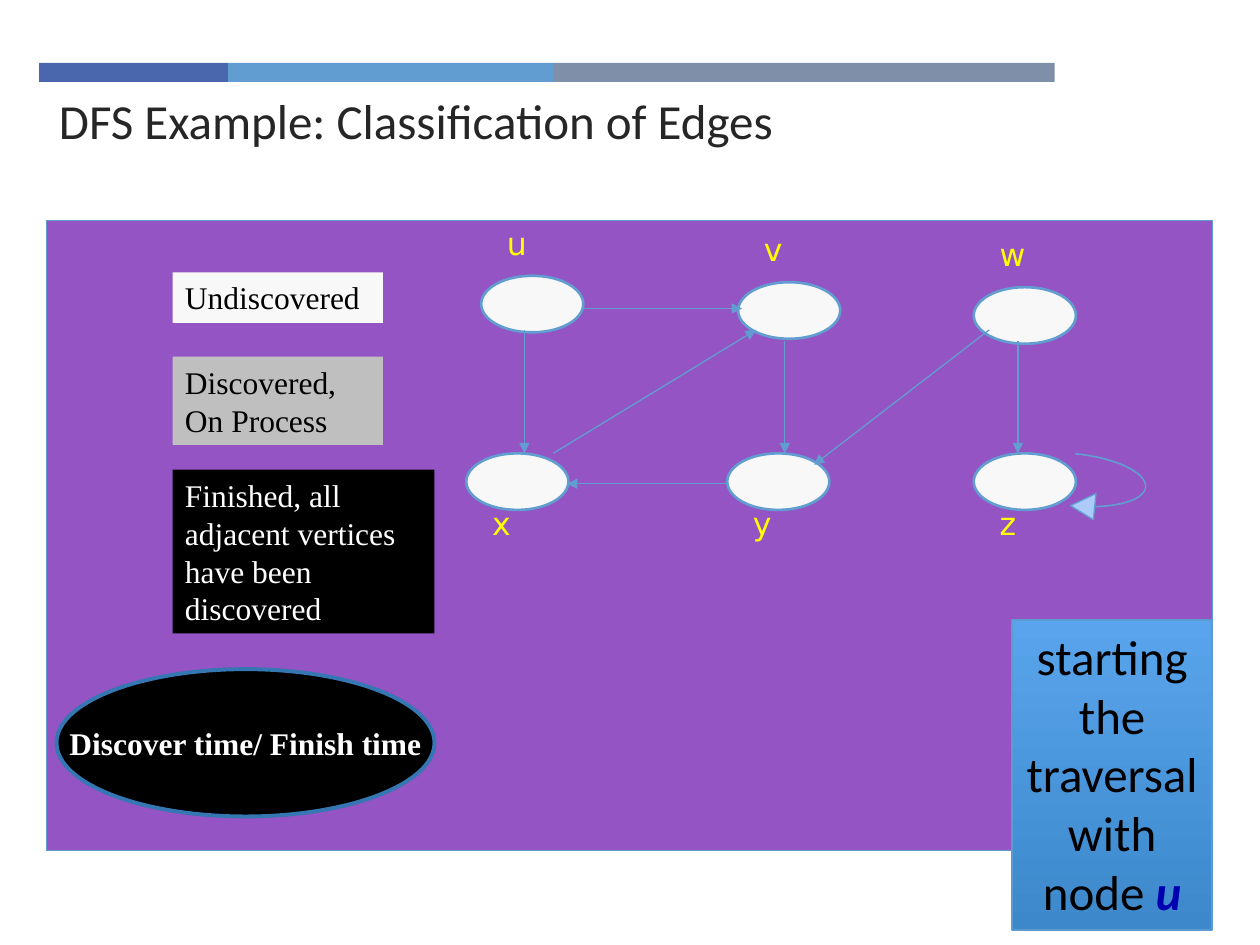
from dataclasses import dataclass

from lxml.etree import SubElement
from pptx import Presentation
from pptx.dml.color import RGBColor
from pptx.enum.shapes import MSO_CONNECTOR, MSO_SHAPE
from pptx.enum.text import MSO_ANCHOR, PP_ALIGN
from pptx.oxml.ns import qn
from pptx.util import Cm, Pt


@dataclass(frozen=True)
class Theme:
    band: tuple = ("4A66AC", "629DD1", "7F8FA9")
    panel: str = "9454C3"
    line: str = "629DD1"
    title: str = "262626"
    label: str = "FFFF00"
    light: str = "F8F8F8"
    grey: str = "BFBFBF"
    black: str = "000000"
    white: str = "FFFFFF"
    loop: str = "ACCBF9"
    time_line: str = "3477B2"
    callout: tuple = ("3C88CB", "59A4EC")
    callout_line: str = "5D9ACF"
    start_node: str = "0000B0"
    heading_font: str = "Calibri"
    legend_font: str = "Times New Roman"
    label_font: str = "DejaVu Sans"
    large: int = 28
    small: int = 18


THEME = Theme()

NODE_WIDTH, NODE_HEIGHT = 2.06, 1.14
LABEL_ABOVE, LABEL_BELOW = -1.17, 0.89
NODES = [
    ("u", 9.7, 5.56, LABEL_ABOVE),
    ("v", 14.88, 5.69, LABEL_ABOVE),
    ("w", 19.63, 5.79, LABEL_ABOVE),
    ("x", 9.4, 9.14, LABEL_BELOW),
    ("y", 14.66, 9.14, LABEL_BELOW),
    ("z", 19.63, 9.14, LABEL_BELOW),
]
EDGES = [
    (11.73, 6.22, 14.96, 6.22),   # u to v
    (14.63, 9.75, 11.43, 9.75),   # y to x
    (15.82, 6.88, 15.82, 9.14),   # v to y
    (10.57, 6.65, 10.57, 9.14),   # u to x
    (20.52, 6.88, 20.52, 9.14),   # w to z
    (19.94, 6.65, 16.41, 9.37),   # w to y
    (11.15, 9.14, 15.24, 6.65),   # x to v
]
LEGEND = [
    ("Undiscovered", 5.49, 4.24, 1.02, THEME.light, THEME.black),
    ("Discovered, On Process", 7.19, 4.24, 1.78, THEME.grey, THEME.black),
    ("Finished, all adjacent vertices have been discovered",
     9.47, 5.28, 3.3, THEME.black, THEME.white),
]


def rgb(color):
    return RGBColor.from_string(color)


def add_shape(shapes, kind, box, fill, line=None, width=0.75):
    shape = shapes.add_shape(kind, *map(Cm, box))
    shape.shadow.inherit = False
    if fill:
        shape.fill.solid()
        shape.fill.fore_color.rgb = rgb(fill)
    if line:
        shape.line.color.rgb = rgb(line)
        shape.line.width = Pt(width)
    else:
        shape.line.fill.background()
    return shape


def format_run(run, font, size, color):
    run.font.name = font
    run.font.size = Pt(size)
    run.font.color.rgb = rgb(color)


def set_text(shape, text, font, size, color,
             align=PP_ALIGN.LEFT, anchor=MSO_ANCHOR.TOP, wrap=True):
    text_frame = shape.text_frame
    text_frame.text = text
    text_frame.word_wrap = wrap
    text_frame.vertical_anchor = anchor
    paragraph = text_frame.paragraphs[0]
    paragraph.alignment = align
    format_run(paragraph.runs[0], font, size, color)
    return paragraph


def add_node(shapes, name, left, top, label_offset):
    add_shape(shapes, MSO_SHAPE.OVAL, (left, top, NODE_WIDTH, NODE_HEIGHT),
              THEME.light, THEME.line, 1.5)
    label = shapes.add_textbox(Cm(left + 0.06), Cm(top + label_offset),
                               Cm(NODE_WIDTH), Cm(1.02))
    set_text(label, name, THEME.label_font, THEME.small, THEME.label)
    label.text_frame.margin_left = Cm(0.46)


def add_edge(shapes, ends):
    connector = shapes.add_connector(MSO_CONNECTOR.STRAIGHT, *map(Cm, ends))
    connector.line.color.rgb = rgb(THEME.line)
    connector.line.width = Pt(0.75)
    SubElement(connector.line._get_or_add_ln(), qn("a:tailEnd"), type="triangle")
    SubElement(connector._element.spPr, qn("a:effectLst"))


def add_band(shapes):
    left = 0.79
    for width, color in zip((3.81, 6.55, 10.11), THEME.band):
        add_shape(shapes, MSO_SHAPE.RECTANGLE, (left, 1.27, width, 0.38), color)
        left += width


def add_graph(shapes):
    for node in NODES:
        add_node(shapes, *node)
    for ends in EDGES:
        add_edge(shapes, ends)


def add_self_loop(shapes):
    loop = add_shape(shapes, MSO_SHAPE.CURVED_DOWN_ARROW,
                     (21.69, 9.14, 1.32, 1.47), THEME.loop, THEME.line)
    loop.rotation = 95.8
    for index, value in enumerate((0.006, 0.402, 0.369)):
        loop.adjustments[index] = value


def add_legend(shapes):
    for text, top, width, height, fill, color in LEGEND:
        box = add_shape(shapes, MSO_SHAPE.RECTANGLE, (3.48, top, width, height), fill)
        set_text(box, text, THEME.legend_font, THEME.small, color)
    times = add_shape(shapes, MSO_SHAPE.OVAL, (1.14, 13.49, 7.62, 2.97),
                      THEME.black, THEME.time_line, 2.25)
    paragraph = set_text(times, "Discover time/ Finish time", THEME.legend_font,
                         THEME.small, THEME.white, PP_ALIGN.CENTER,
                         MSO_ANCHOR.MIDDLE, wrap=False)
    paragraph.runs[0].font.bold = True


def add_callout(shapes):
    callout = add_shape(shapes, MSO_SHAPE.RECTANGLE, (20.4, 12.5, 4.04, 6.25),
                        None, THEME.callout_line, 1)
    callout.fill.gradient()
    callout.fill.gradient_angle = 90
    for stop, color in zip(callout.fill.gradient_stops, THEME.callout):
        stop.color.rgb = rgb(color)
    paragraph = set_text(callout, "starting the traversal with node ",
                         THEME.heading_font, THEME.large, THEME.black,
                         PP_ALIGN.CENTER)
    start = paragraph.add_run()
    start.text = "u"
    format_run(start, THEME.heading_font, THEME.large, THEME.start_node)
    start.font.bold = start.font.italic = True


def main():
    presentation = Presentation()
    presentation.slide_width, presentation.slide_height = Cm(25.4), Cm(19.05)
    slide = presentation.slides.add_slide(presentation.slide_layouts[6])
    shapes = slide.shapes

    add_band(shapes.add_group_shape().shapes)
    title = shapes.add_textbox(Cm(0.94), Cm(1.7), Cm(20.32), Cm(1.37))
    set_text(title, "DFS Example: Classification of Edges",
             THEME.heading_font, THEME.large, THEME.title)
    add_shape(shapes, MSO_SHAPE.RECTANGLE, (0.94, 4.45, 23.5, 12.7),
              THEME.panel, THEME.line)
    add_graph(shapes.add_group_shape().shapes)
    add_self_loop(shapes)
    add_legend(shapes)
    add_callout(shapes)

    presentation.save("out.pptx")


if __name__ == "__main__":
    main()
